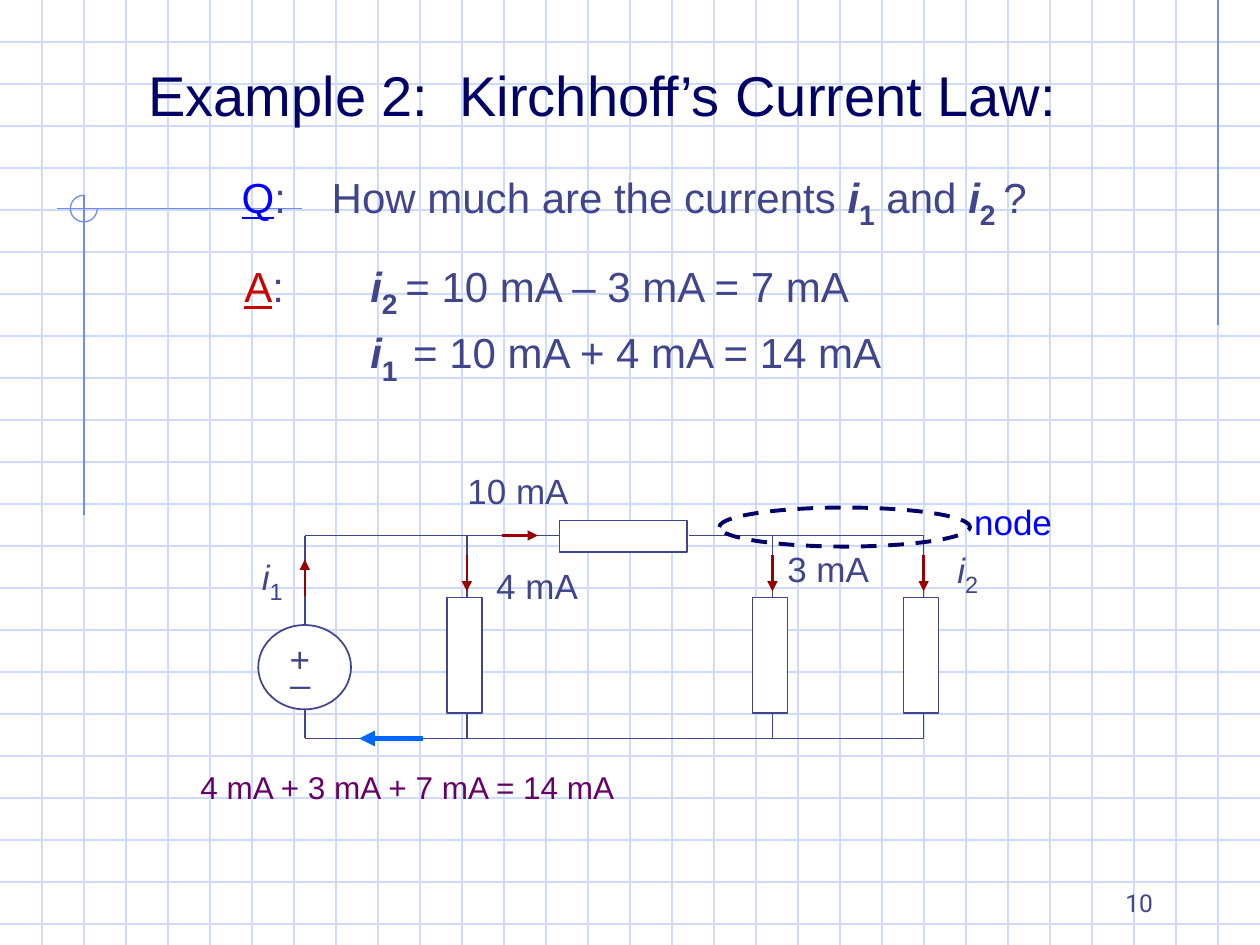
import pptx
import pptx.dml.color
import pptx.enum.dml
import pptx.enum.shapes
import pptx.enum.text
import pptx.oxml
import pptx.oxml.ns
import pptx.util

Pt = pptx.util.Pt
Color = pptx.dml.color.RGBColor
Kind = pptx.enum.shapes.MSO_SHAPE
Align = pptx.enum.text.PP_ALIGN

GRID = Color(0xCF, 0xDB, 0xFD)
TRIM = Color(0x6F, 0x89, 0xF7)
INK = Color(0x40, 0x45, 0x8C)
NAVY = Color(0x00, 0x00, 0x66)
BLUE = Color(0x00, 0x00, 0xFF)
RED = Color(0xCC, 0x00, 0x00)
DARK = Color(0x99, 0x00, 0x00)
FLOW = Color(0x00, 0x66, 0xFF)
PLUM = Color(0x66, 0x00, 0x66)
WHITE = Color(0xFF, 0xFF, 0xFF)

WIDE, HIGH, STEP = 720, 540, 24
TOP, BASE = 306, 422
LEFT = 174.2
LOADS = (266.8, 441.4, 527.8)


def add_xml(parent, tag, **attrs):
    node = pptx.oxml.parse_xml(f"<a:{tag} {pptx.oxml.ns.nsdecls('a')}/>")
    for key, value in attrs.items():
        node.set(key, value)
    parent.append(node)
    return node


def add_line(slide, x1, y1, x2, y2, color=INK, width=1, arrow=False):
    line = slide.shapes.add_connector(
        pptx.enum.shapes.MSO_CONNECTOR.STRAIGHT, Pt(x1), Pt(y1), Pt(x2), Pt(y2))
    line.line.color.rgb = color
    line.line.width = Pt(width)
    if arrow:
        add_xml(line.line._get_or_add_ln(), "tailEnd", type="triangle")
    add_xml(line._element.spPr, "effectLst")


def add_shape(slide, kind, x, y, w, h, color=INK, width=1, fill=WHITE):
    shape = slide.shapes.add_shape(kind, Pt(x), Pt(y), Pt(w), Pt(h))
    shape.shadow.inherit = False
    if fill is None:
        shape.fill.background()
    else:
        shape.fill.solid()
        shape.fill.fore_color.rgb = fill
    shape.line.color.rgb = color
    shape.line.width = Pt(width)
    return shape


def style(run, size, color, marks=""):
    font = run.font
    font.name = "Arial"
    font.size = Pt(size)
    font.color.rgb = color
    font.bold = "b" in marks
    font.italic = "i" in marks
    font.underline = "u" in marks
    if "s" in marks:
        font.size = Pt(round(size * 1.155, 1))
        run._r.get_or_add_rPr().set("baseline", "-25000")


def add_box(slide, x, y, w, h, wrap=False):
    box = slide.shapes.add_textbox(Pt(x), Pt(y), Pt(w), Pt(h))
    box.text_frame.word_wrap = wrap
    box.text_frame.auto_size = pptx.enum.text.MSO_AUTO_SIZE.SHAPE_TO_FIT_TEXT
    return box.text_frame


def add_label(slide, text, x, y, w, h, size=20, color=INK, align=Align.LEFT,
              wrap=False):
    frame = add_box(slide, x, y, w, h, wrap)
    frame.text = text
    para = frame.paragraphs[0]
    para.alignment = align
    style(para.runs[0], size, color)
    return frame


def add_rich(frame, rows, size, tab=None):
    for i, row in enumerate(rows):
        para = frame.add_paragraph() if i else frame.paragraphs[0]
        if tab:
            tabs = add_xml(para._p.get_or_add_pPr(), "tabLst")
            add_xml(tabs, "tab", pos=str(Pt(tab)), algn="l")
        for text, marks, color in row:
            run = para.add_run()
            run.text = text
            style(run, size, color, marks)


def draw_paper(slide):
    for y in range(STEP, HIGH, STEP):
        add_line(slide, 0, y, WIDE, y, GRID, 0.75)
    for x in range(STEP, WIDE, STEP):
        add_line(slide, x, 0, x, HIGH, GRID, 0.75)
    add_line(slide, 696, 0, 696, 186, TRIM, 0.75)
    add_line(slide, 172.8, 119.3, 32.4, 119.3, TRIM, 0.75)
    add_line(slide, 48, 111.6, 48, 294.5, TRIM, 0.75)
    arc = add_shape(slide, Kind.ARC, 40.2, 111.6, 15.4, 15.2, TRIM, 0.75, None)
    arc.adjustments[0] = 0
    arc.adjustments[1] = 162


def draw_text(slide):
    add_label(slide, "Example 2:  Kirchhoff’s Current Law:",
              77.8, 31, 545, 45.4, 32, NAVY, wrap=True)
    add_rich(add_box(slide, 131, 90.7, 507, 40.3, True), [[
        ("Q", "u", BLUE), (":\tHow much are the currents ", "", INK),
        ("i", "bi", INK), ("1", "bs", INK), (" and ", "", INK),
        ("i", "bi", INK), ("2 ", "bs", INK), ("?", "", INK)]], 24, 51.5)
    add_rich(add_box(slide, 132.5, 141.8, 420, 73.4, True), [
        [("A", "u", RED), (":\t", "", INK), ("i", "bi", INK),
         ("2 ", "bs", INK), ("= 10 mA – 3 mA = 7 mA", "", INK)],
        [("\t", "", INK), ("i", "bi", INK), ("1  ", "bs", INK),
         ("= 10 mA + 4 mA = 14 mA", "", INK)]], 24, 72)
    page = add_label(slide, "10", 516.2, 491.8, 149.8, 36, 14, INK,
                     Align.RIGHT, True)
    page.auto_size = pptx.enum.text.MSO_AUTO_SIZE.NONE
    page.vertical_anchor = pptx.enum.text.MSO_ANCHOR.BOTTOM
    page.paragraphs[0].runs[0].font.name = "Roboto"


def draw_loop(slide):
    add_shape(slide, Kind.OVAL, 147.6, 357.2, 53, 48.2)
    add_line(slide, LEFT, TOP, LEFT, 357.5)
    add_line(slide, LEFT, BASE, LEFT, 406)
    add_line(slide, LEFT, TOP, 319.5, TOP)
    add_line(slide, 394, TOP, LOADS[-1], TOP)
    add_line(slide, LEFT, BASE, LOADS[-1], BASE)
    add_shape(slide, Kind.RECTANGLE, 319.7, 297.4, 72.7, 18)
    for x in LOADS:
        add_line(slide, x, TOP, x, 341)
        add_line(slide, x, 408, x, BASE)
        add_shape(slide, Kind.RECTANGLE, x - 11.4, 341.4, 20, 66)
        add_line(slide, x, 317, x, 338, DARK, 1.5, True)
    add_line(slide, LEFT, 340.6, LEFT, 319.7, DARK, 1.5, True)
    add_line(slide, 286.6, TOP, 307.4, TOP, DARK, 1.5, True)
    add_line(slide, 242, BASE, 205.2, BASE, FLOW, 3, True)


def draw_labels(slide):
    for text, x, y, w in (
            ("+", 158.4, 360.7, 26), ("_", 159, 366.5, 26),
            ("4 mA", 276.5, 319, 61), ("10 mA", 260, 265, 72.7),
            ("3 mA", 442.8, 309.6, 61)):
        add_label(slide, text, x, y, w, 31)
    for digit, x, y in (("1", 142.6, 311), ("2", 540, 306.7)):
        add_rich(add_box(slide, x, y, 26.6, 34.6),
                 [[("i", "i", INK), (digit, "s", INK)]], 20)
    add_label(slide, "4 mA + 3 mA + 7 mA = 14 mA",
              105.8, 435.6, 254, 28.8, 18, PLUM, Align.CENTER)
    ring = add_shape(slide, Kind.OVAL, 411, 290, 143.3, 22.3, NAVY, 2.25, None)
    ring.line.dash_style = pptx.enum.dml.MSO_LINE.DASH
    add_label(slide, "node", 549.4, 282.2, 59, 31, 20, BLUE, Align.CENTER)


def main():
    deck = pptx.Presentation()
    deck.slide_width = Pt(WIDE)
    deck.slide_height = Pt(HIGH)
    slide = deck.slides.add_slide(deck.slide_layouts[6])
    slide.background.fill.solid()
    slide.background.fill.fore_color.rgb = WHITE
    draw_paper(slide)
    draw_text(slide)
    draw_loop(slide)
    draw_labels(slide)
    deck.save("out.pptx")


if __name__ == "__main__":
    main()
